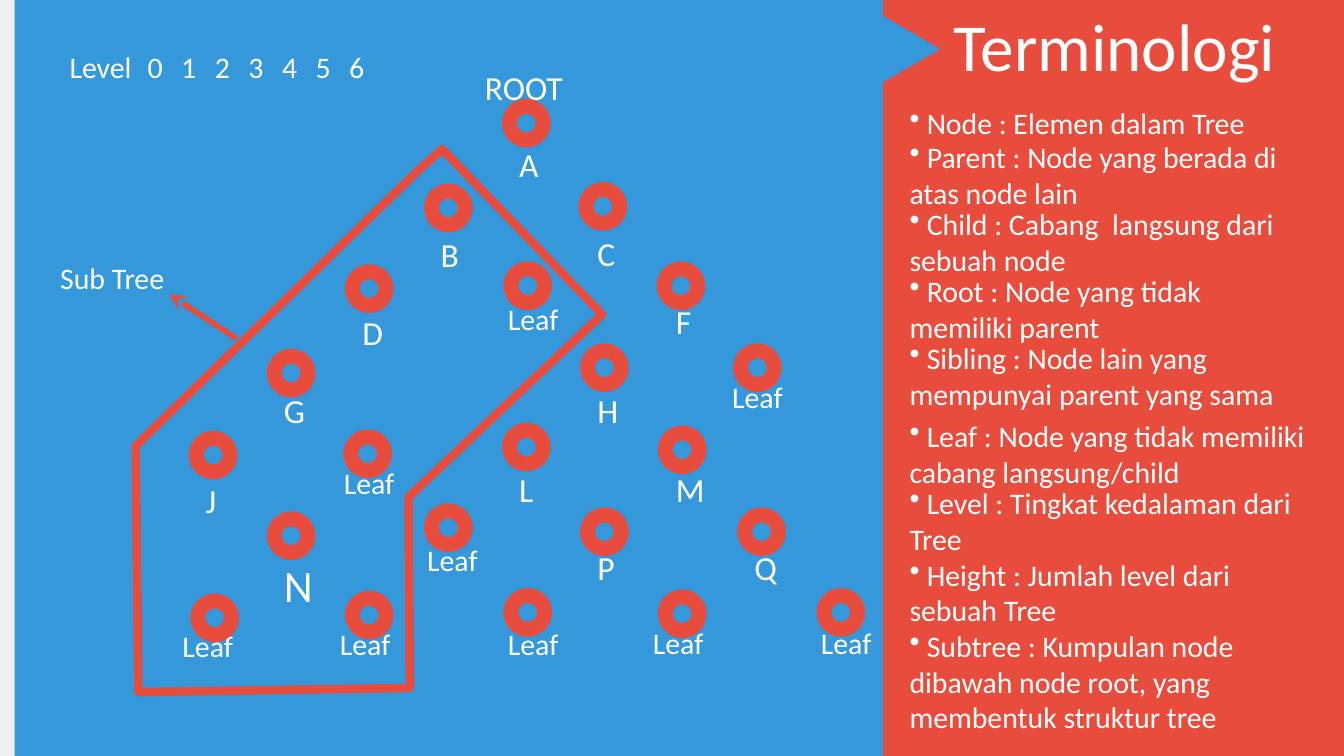
import lxml.etree
import pptx
import pptx.dml.color
import pptx.enum.shapes
import pptx.enum.text
import pptx.oxml.ns
import pptx.util

Pt = pptx.util.Pt
SHAPE = pptx.enum.shapes.MSO_SHAPE
BLUE, RED, WHITE, PALE = "3498DB", "E74C3C", "FFFFFF", "ECF0F1"


def paint(color, value):
    color.rgb = pptx.dml.color.RGBColor.from_string(value)


def child(parent, tag, **attrs):
    return lxml.etree.SubElement(parent, pptx.oxml.ns.qn(tag), **attrs)


class Board:
    font = "Calibri"
    ink = WHITE
    ring = 24

    def __init__(self, deck):
        self.slide = deck.slides.add_slide(deck.slide_layouts[6])
        self.shapes = self.slide.shapes
        fill = self.slide.background.fill
        fill.solid()
        paint(fill.fore_color, BLUE)

    def text(self, words, x, y, width, size=16, lines=1, bullet=False):
        height = size * 1.22 * lines + 7.2
        box = self.shapes.add_textbox(Pt(x), Pt(y), Pt(width), Pt(height))
        frame = box.text_frame
        frame.word_wrap = True
        frame.auto_size = pptx.enum.text.MSO_AUTO_SIZE.SHAPE_TO_FIT_TEXT
        frame.text = words
        para = frame.paragraphs[0]
        if bullet:
            props = para._p.get_or_add_pPr()
            props.set("marL", "0")
            props.set("indent", str(Pt(-8)))
            child(child(props, "a:buClr"), "a:srgbClr", val=self.ink)
            child(props, "a:buChar", char="•")
        for run in para.runs:
            run.font.name = self.font
            run.font.size = Pt(size)
            paint(run.font.color, self.ink)

    def shape(self, kind, x, y, width, height, fill, edge=0):
        item = self.shapes.add_shape(kind, Pt(x), Pt(y), Pt(width), Pt(height))
        item.shadow.inherit = False
        item.fill.solid()
        paint(item.fill.fore_color, fill)
        if edge:
            self.stroke(item, fill, edge)
        else:
            item.line.fill.background()
        return item

    def stroke(self, item, color, width):
        item.line.width = Pt(width)
        paint(item.line.color, color)

    def node(self, x, y):
        item = self.shape(SHAPE.DONUT, x, y, self.ring, self.ring, RED, 2)
        item.adjustments[0] = 0.25

    def outline(self, points, color, width):
        start, *rest = [(Pt(x), Pt(y)) for x, y in points]
        maker = self.shapes.build_freeform(*start)
        maker.add_line_segments(rest, close=True)
        item = maker.convert_to_shape()
        item.shadow.inherit = False
        item.fill.background()
        self.stroke(item, color, width)

    def arrow(self, x1, y1, x2, y2, color, width):
        kind = pptx.enum.shapes.MSO_CONNECTOR.STRAIGHT
        item = self.shapes.add_connector(kind, Pt(x1), Pt(y1), Pt(x2), Pt(y2))
        self.stroke(item, color, width)
        child(item.line._get_or_add_ln(), "a:tailEnd", type="stealth")
        child(item._element.spPr, "a:effectLst")


LEAVES = [
    (265, 157.7), (385.2, 199.4), (432.7, 331.2), (342.7, 331.2), (265, 331.9),
    (175, 331.9), (90.7, 332.6), (177.1, 245.5), (221.8, 286.6),
]

LETTERS = [
    ("A", 4, 73.4), ("B", 3, 121.7), ("C", 5, 121), ("D", 2, 163.4),
    ("J", 0, 253.4), ("G", 1, 205.2), ("N", 1, 295.2), ("F", 6, 157.7),
    ("H", 5, 205.2), ("M", 6, 247.7), ("Q", 7, 289.4), ("L", 4, 247.7),
    ("P", 5, 289.4),
]

SUBTREE = [
    (223.2, 92.2), (72.7, 239), (74.2, 370.8), (219.6, 368.6),
    (218.9, 266.4), (322.6, 168.5), (236.9, 79.9),
]

NODES = [
    (270, 54), (311, 98.6), (228.2, 99.4), (185.8, 142.6), (144, 187.9),
    (102.2, 231.8), (185, 231.1), (270.7, 141.1), (352.8, 141.1),
    (393.8, 185), (311.8, 185), (270, 227.5), (228.2, 270.7), (144, 275),
    (103, 319), (185.8, 317.5), (270.7, 316.1), (353.5, 316.8),
    (311.8, 272.9), (353.5, 229), (396, 272.9), (438.5, 316.1),
]

TERMS = [
    (" Node : Elemen dalam Tree", 52.6, 1),
    (" Parent : Node yang berada di atas node lain", 70.6, 2),
    (" Child : Cabang  langsung dari sebuah node", 106.6, 2),
    (" Root : Node yang tidak memiliki parent", 142.6, 2),
    (" Sibling : Node lain yang mempunyai parent yang sama", 178.6, 2),
    (" Leaf : Node yang tidak memiliki cabang langsung/child", 220.3, 2),
    (" Level : Tingkat kedalaman dari Tree", 256.3, 2),
    (" Height : Jumlah level dari sebuah Tree", 294.5, 2),
    (" Subtree : Kumpulan node dibawah node root, yang membentuk struktur tree",
     332.6, 3),
]


def main():
    deck = pptx.Presentation()
    deck.slide_width, deck.slide_height = Pt(720), Pt(405)
    board = Board(deck)

    board.shape(SHAPE.RECTANGLE, 0, 0, 7.9, 405, PALE)
    board.text("ROOT", 252.7, 32.4, 60, size=18)
    for x, y in LEAVES:
        board.text("Leaf", x, y, 42)
    for name, column, y in LETTERS:
        size = 24 if name == "N" else 18
        board.text(name, 103 + 42 * column, y, 24, size=size)

    board.outline(SUBTREE, RED, 4.5)
    board.arrow(126.7, 181.4, 90.7, 157.7, RED, 3)
    board.text("Sub Tree", 25.2, 135.4, 72)

    board.shape(SHAPE.RECTANGLE, 473.8, 0, 246.2, 405, RED, 2)
    board.text("Terminologi", 504, -1.4, 192.2, size=36)
    for x, y in NODES:
        board.node(x, y)
    for words, y, lines in TERMS:
        board.text(words, 480.2, y, 228.2, lines=lines, bullet=True)

    board.text("Level", 30.2, 22.3, 48.2)
    for level in range(7):
        board.text(str(level), 72 + 18 * level, 22.3, 24)

    notch = board.shape(SHAPE.ISOSCELES_TRIANGLE, 470.2, 10.8, 36, 31, BLUE)
    notch.rotation = 90
    deck.save("out.pptx")


if __name__ == "__main__":
    main()
